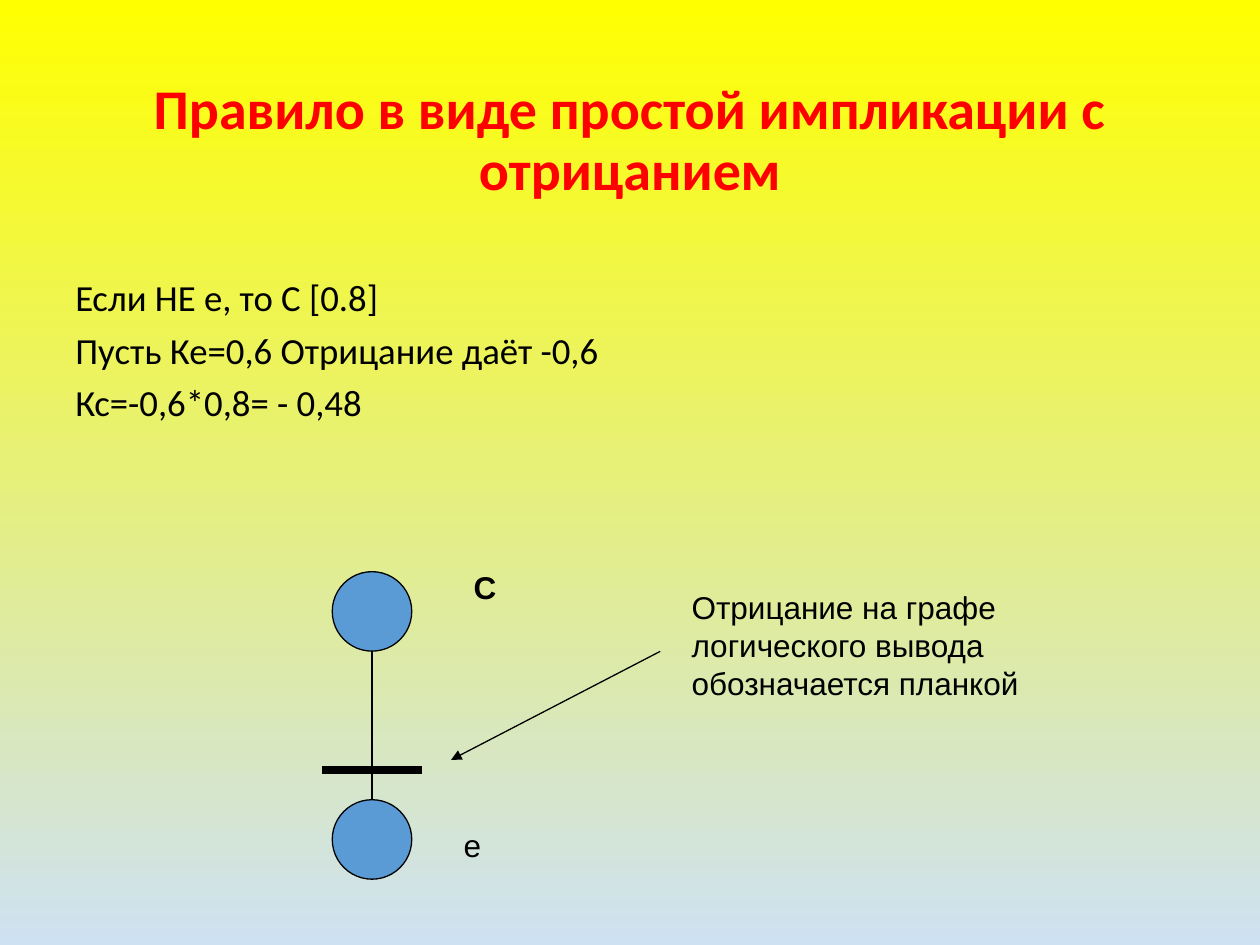
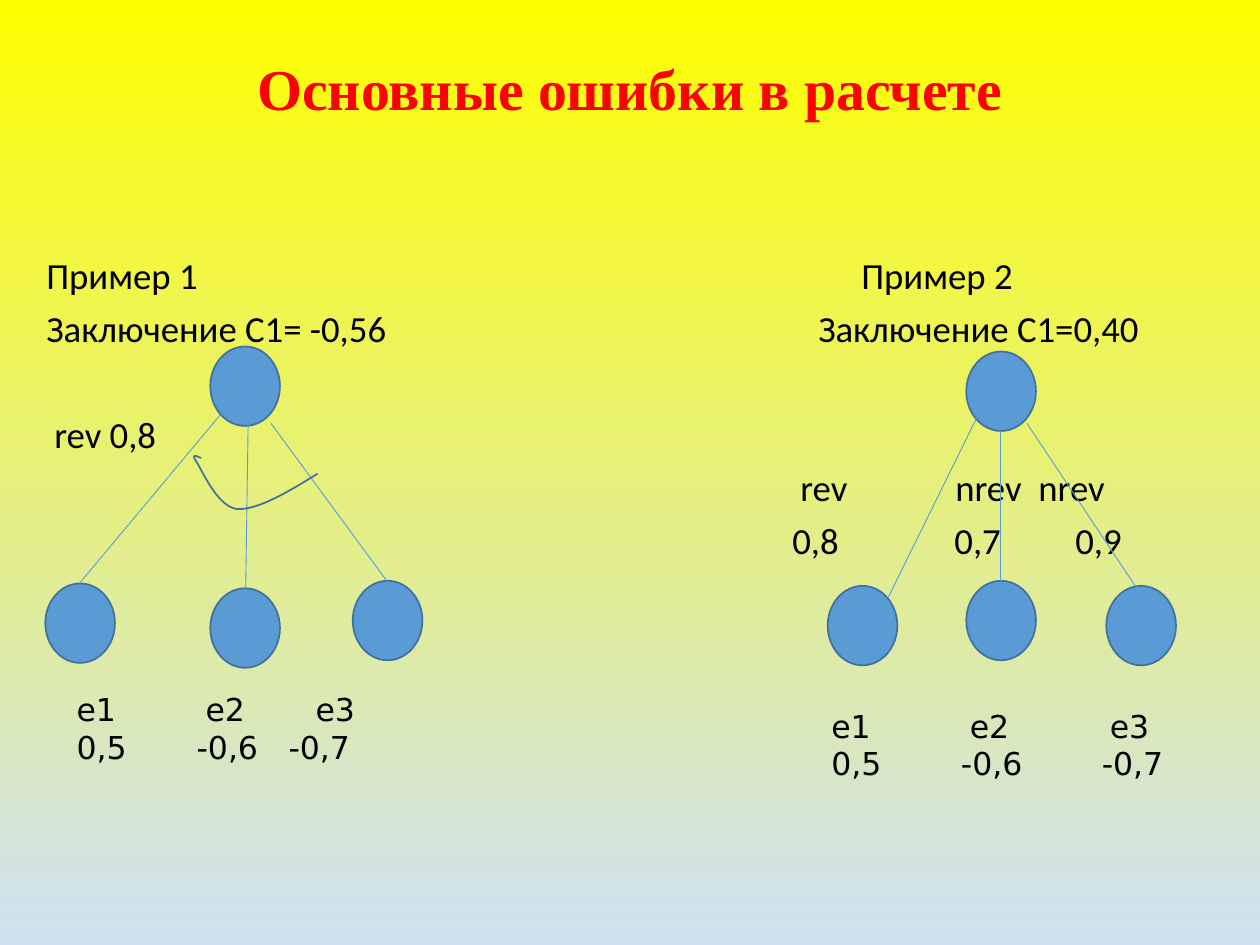
"""Build two slides on rules with negation and on common errors in certainty factors."""
from dataclasses import dataclass

from lxml import etree
from pptx import Presentation
from pptx.dml.color import RGBColor
from pptx.enum.shapes import MSO_CONNECTOR, MSO_SHAPE
from pptx.enum.text import MSO_ANCHOR, PP_ALIGN
from pptx.oxml.ns import qn
from pptx.slide import Slide
from pptx.util import Pt

OVAL = MSO_SHAPE.OVAL
STRAIGHT = MSO_CONNECTOR.STRAIGHT
TOP, MIDDLE = MSO_ANCHOR.TOP, MSO_ANCHOR.MIDDLE
LEFT, CENTER = PP_ALIGN.LEFT, PP_ALIGN.CENTER

COLORS = {
    "sun": "FFFF00",
    "sky": "CEE1F2",
    "title": "FF0000",
    "ink": "000000",
    "node": "5B9BD5",
    "rim": "41719C",
}


@dataclass(frozen=True)
class Style:
    font: str
    size: float
    color: str = "ink"
    bold: bool = False
    align: PP_ALIGN = LEFT
    anchor: MSO_ANCHOR = TOP
    pitch: float = 1.0
    gap: float = 0


@dataclass(frozen=True)
class Row:
    text: str
    tabs: tuple[float, ...] = ()
    extra: float = 0


@dataclass(frozen=True)
class Box:
    x: float
    y: float
    w: float
    h: float


@dataclass(frozen=True)
class Edge:
    x1: float
    y1: float
    x2: float
    y2: float


@dataclass(frozen=True)
class Tree:
    nodes: tuple[tuple[float, float], ...]
    edges: tuple[Edge, ...]
    box: Box
    rows: tuple[Row, ...]


HEAD = Style("Calibri", 32, "title", True, CENTER, MIDDLE, 0.9)
SERIF = Style("Times New Roman", 33, "title", True, CENTER, MIDDLE, 0.9)
BODY = Style("Calibri", 21, pitch=0.9, gap=7.5)
NOTE = Style("Arial", 18)
STRONG = Style("Arial", 18, bold=True)
FACT = Style("DejaVu Sans", 18)

RULE = (
    Row("Если НЕ е, то С [0.8]"),
    Row("Пусть Ке=0,6 Отрицание даёт -0,6"),
    Row("Кс=-0,6*0,8= - 0,48"),
)
CASES = (
    Row("Пример 1\tПример 2", (465.7,)),
    Row("Заключение С1= -0,56\tЗаключение С1=0,40", (441.1,)),
    Row("\trev 0,8", (4.6,), 30.4),
    Row("\trev\tnrev\tnrev", (430.9, 519.4, 566.9)),
    Row("\t0,8\t0,7\t0,9", (426.3, 518.9, 588)),
)
TREES = (
    Tree(
        ((120.2, 198), (25.9, 333.4), (201.6, 331.9), (120.2, 336.2)),
        (
            Edge(45.4, 333.4, 126, 236.9),
            Edge(140.4, 336.2, 141.8, 241.9),
            Edge(221, 331.9, 154.8, 241.9),
        ),
        Box(36.7, 391, 203.8, 115.2),
        (Row("е1\tе2\tе3", (73.7, 136.6)), Row("0,5\t-0,6\t-0,7", (68.6, 121.1))),
    ),
    Tree(
        ((552.2, 200.9), (552.2, 331.9), (473, 334.8), (632.2, 334.8)),
        (
            Edge(507.6, 341.3, 558, 239),
            Edge(571.7, 331.9, 571.7, 246.2),
            Edge(648.7, 334.8, 586.8, 241.9),
        ),
        Box(468, 400.3, 226.8, 50.4),
        (Row("е1\tе2\tе3", (79.1, 159.1)), Row("0,5\t-0,6\t-0,7", (74, 154.5))),
    ),
)
HOOK = (
    ((181.5, 270.7), (164.2, 281.5), (146.9, 291.6), (135.4, 290.9)),
    ((135.4, 290.9), (123.8, 289.4), (115.2, 267.8), (111.6, 262.8)),
    ((111.6, 262.8), (108.7, 257.8), (115.9, 262.8), (114.5, 261.4)),
)


def tint(name: str) -> RGBColor:
    return RGBColor.from_string(COLORS[name])


def add_slide(deck: Presentation) -> Slide:
    slide = deck.slides.add_slide(deck.slide_layouts[6])
    fill = slide.background.fill
    fill.gradient()
    fill.gradient_angle = 270
    for stop, name, spot in zip(fill.gradient_stops, ("sun", "sky"), (0, 1)):
        stop.color.rgb = tint(name)
        stop.position = spot
    return slide


def add_text(slide: Slide, box: Box, rows: tuple[Row, ...], style: Style) -> None:
    frame = slide.shapes.add_textbox(Pt(box.x), Pt(box.y), Pt(box.w), Pt(box.h)).text_frame
    frame.word_wrap = True
    frame.vertical_anchor = style.anchor
    for i, row in enumerate(rows):
        para = frame.add_paragraph() if i else frame.paragraphs[0]
        para.text = row.text
        if row.tabs:
            stops = etree.SubElement(para._p.get_or_add_pPr(), qn("a:tabLst"))
            for tab in row.tabs:
                etree.SubElement(stops, qn("a:tab"), pos=str(Pt(tab)), algn="l")
        para.alignment = style.align
        para.line_spacing = style.pitch
        if i:
            para.space_before = Pt(style.gap + row.extra)
        font = para.font
        font.name, font.size, font.bold = style.font, Pt(style.size), style.bold
        font.color.rgb = tint(style.color)


def add_node(slide: Slide, box: Box, rim: str, width: float) -> None:
    node = slide.shapes.add_shape(OVAL, Pt(box.x), Pt(box.y), Pt(box.w), Pt(box.h))
    node.shadow.inherit = False
    node.fill.solid()
    node.fill.fore_color.rgb = tint("node")
    node.line.color.rgb = tint(rim)
    node.line.width = Pt(width)


def add_edge(slide: Slide, edge: Edge, color: str, width: float, arrow: bool = False) -> None:
    link = slide.shapes.add_connector(
        STRAIGHT, Pt(edge.x1), Pt(edge.y1), Pt(edge.x2), Pt(edge.y2)
    )
    link.line.color.rgb = tint(color)
    link.line.width = Pt(width)
    if arrow:
        etree.SubElement(link.line._get_or_add_ln(), qn("a:tailEnd"), type="triangle")
    etree.SubElement(link._element.spPr, qn("a:effectLst"))


def add_hook(slide: Slide, steps: int = 16) -> None:
    dots = []
    for a, b, c, d in HOOK:
        for i in range(1, steps + 1):
            t = i / steps
            u = 1 - t
            mix = (u**3, 3 * u * u * t, 3 * u * t * t, t**3)
            x, y = (sum(m * p[k] for m, p in zip(mix, (a, b, c, d))) for k in (0, 1))
            dots.append((Pt(x), Pt(y)))
    x, y = HOOK[0][0]
    pen = slide.shapes.build_freeform(Pt(x), Pt(y))
    pen.add_line_segments(dots, close=False)
    hook = pen.convert_to_shape()
    hook.shadow.inherit = False
    hook.fill.background()
    hook.line.color.rgb = tint("rim")
    hook.line.width = Pt(1)


def add_tree(slide: Slide, tree: Tree) -> None:
    for x, y in tree.nodes:
        add_node(slide, Box(x, y, 39.8, 45.4), "rim", 1)
    for edge in tree.edges:
        add_edge(slide, edge, "node", 0.5)
    add_text(slide, tree.box, tree.rows, FACT)


def build_rule(deck: Presentation) -> None:
    slide = add_slide(deck)
    title = Row("Правило в виде простой импликации с отрицанием")
    add_text(slide, Box(49.5, 28.8, 621, 104.4), (title,), HEAD)
    add_text(slide, Box(36, 156.2, 648, 340.6), RULE, BODY)
    for y in (326.7, 457):
        add_node(slide, Box(189.9, y, 45.4, 45.4), "ink", 0.75)
    add_edge(slide, Edge(212.6, 372.1, 212.6, 457), "ink", 0.75)
    add_edge(slide, Edge(184.2, 440, 241, 440), "ink", 4.5)
    add_text(slide, Box(257.8, 468.7, 67.7, 28.8), (Row("е"),), NOTE)
    add_text(slide, Box(263.5, 321.1, 56.9, 28.8), (Row("С"),), STRONG)
    note = Row("Отрицание на графе логического вывода обозначается планкой")
    add_text(slide, Box(388.1, 332.6, 226.8, 72), (note,), NOTE)
    add_edge(slide, Edge(377.3, 372.2, 257.8, 434.2), "ink", 0.75, True)


def build_cases(deck: Presentation) -> None:
    slide = add_slide(deck)
    title = Row("Основные ошибки в расчете")
    add_text(slide, Box(49.5, 0, 621, 104.4), (title,), SERIF)
    add_text(slide, Box(19.4, 144, 691.9, 342.7), CASES, BODY)
    for tree in TREES:
        add_tree(slide, tree)
    add_hook(slide)


def main() -> None:
    deck = Presentation()
    deck.slide_width, deck.slide_height = Pt(720), Pt(540)
    build_rule(deck)
    build_cases(deck)
    deck.save("out.pptx")


if __name__ == "__main__":
    main()
